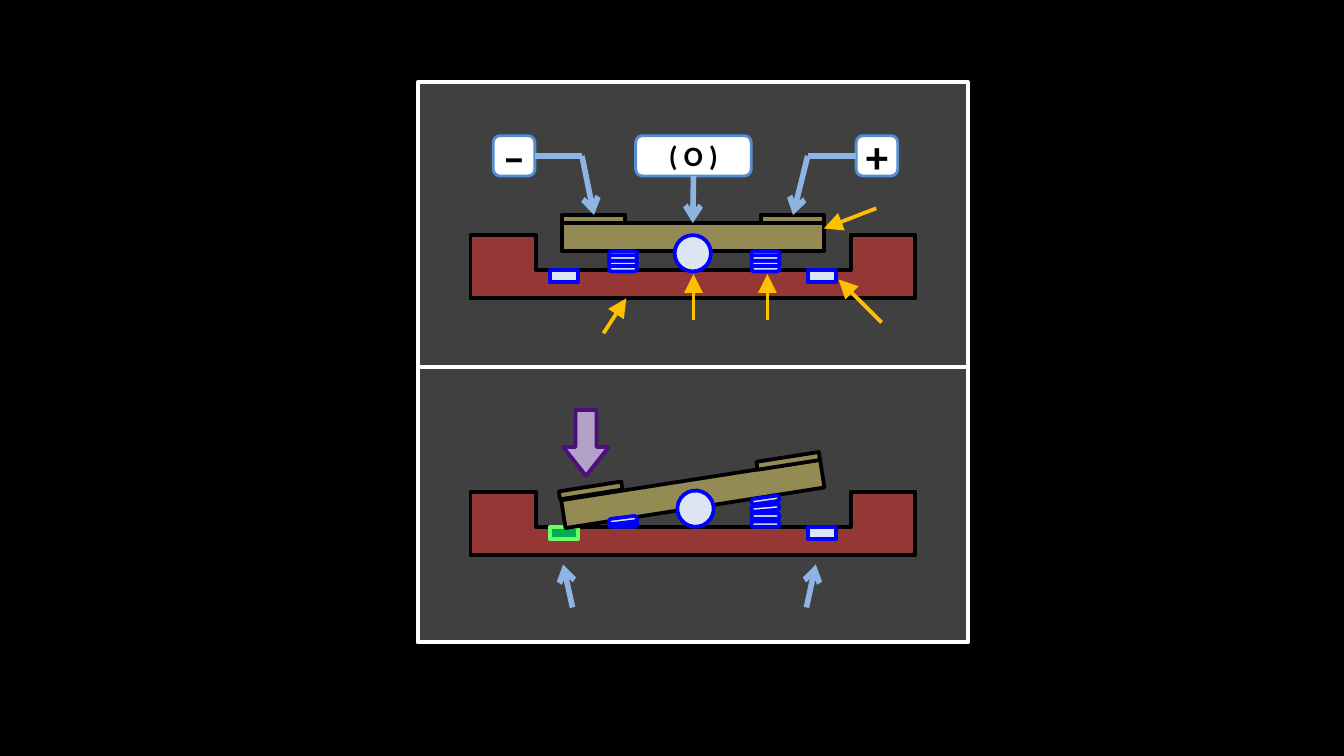
from dataclasses import dataclass
from typing import Optional

from lxml import etree
from pptx import Presentation
from pptx.dml.color import RGBColor
from pptx.enum.shapes import MSO_CONNECTOR, MSO_SHAPE
from pptx.enum.text import MSO_ANCHOR, PP_ALIGN
from pptx.oxml.ns import qn
from pptx.util import Pt

PX = 9144
SLIDE_WIDTH = 1000 * PX
SLIDE_HEIGHT = SLIDE_WIDTH * 9 // 16
RECT = MSO_SHAPE.RECTANGLE
ROUND = MSO_SHAPE.ROUNDED_RECTANGLE
OVAL = MSO_SHAPE.OVAL
DOWN_ARROW = MSO_SHAPE.DOWN_ARROW
STRAIGHT = MSO_CONNECTOR.STRAIGHT
MIDDLE = MSO_ANCHOR.MIDDLE
CENTER = PP_ALIGN.CENTER
TOP, LEFT, BOTTOM, RIGHT = range(4)

BLACK, WHITE, GRAPHITE = "000000", "FFFFFF", "404040"
BRICK, OLIVE, PALE, BLUE, NAVY = "953735", "948A54", "DCE6F2", "0000FF", "376092"
SKY, AMBER, LABEL_EDGE = "8EB4E3", "FFC000", "558ED5"
OPEN_HEAD = {"type": "arrow"}
SOLID_HEAD = {"type": "triangle", "w": "lg", "len": "lg"}
TILT = 351.1
LOWER = 191


@dataclass(frozen=True)
class Part:
    left: int
    top: int
    width: int
    height: int
    fill: Optional[str]
    edge: str
    kind: int = RECT
    rotation: float = 0
    adjustments: tuple = ()
    weight: float = 2


@dataclass(frozen=True)
class Coil:
    top: int
    rotation: float = 0
    fill: str = PALE


@dataclass(frozen=True)
class Label:
    text: str
    left: int
    width: int
    size: int
    inset_x: int = 0
    inset_y: int = 0


@dataclass(frozen=True)
class Pointer:
    start: tuple
    end: tuple
    color: str
    weight: int
    head: Optional[dict] = None
    start_joint: Optional[tuple] = None
    end_joint: Optional[tuple] = None


def rgb(color: str) -> RGBColor:
    return RGBColor.from_string(color)


def apply(target, values: dict) -> None:
    for name, value in values.items():
        setattr(target, name, value)


def paint(shape, fill: Optional[str], edge: str, weight: float) -> None:
    shape.shadow.inherit = False
    if fill:
        shape.fill.solid()
        shape.fill.fore_color.rgb = rgb(fill)
    else:
        shape.fill.background()
    shape.line.color.rgb = rgb(edge)
    shape.line.width = Pt(weight)


def draw_part(shapes, part: Part):
    box = (part.left, part.top, part.width, part.height)
    shape = shapes.add_shape(part.kind, *(n * PX for n in box))
    shape.rotation = part.rotation
    for index, value in enumerate(part.adjustments):
        shape.adjustments[index] = value
    paint(shape, part.fill, part.edge, part.weight)
    return shape


def draw_group(shapes, parts: list) -> list:
    group = shapes.add_group_shape()
    return [draw_part(group.shapes, part) for part in parts]


def draw_housing(shapes, top: int) -> None:
    floor, base = top + 26, top + 47
    outline = shapes.build_freeform(350, base, scale=PX)
    outline.add_line_segments(
        [(350, top), (399, top), (399, floor), (633, floor),
         (633, top), (681, top), (681, base)], close=True)
    paint(outline.convert_to_shape(), BRICK, BLACK, 2)


def draw_spring(shapes, left: int, coils: list) -> None:
    draw_group(shapes, [Part(left, coil.top, 21, 4, coil.fill, BLUE, ROUND,
                             coil.rotation, (0.5,)) for coil in coils])


def draw_label(shapes, label: Label):
    shape = draw_part(shapes, Part(label.left, 101, label.width, 30, WHITE,
                                   LABEL_EDGE, ROUND, weight=1.5))
    frame = shape.text_frame
    apply(frame, {"word_wrap": True, "vertical_anchor": MIDDLE,
                  "margin_left": label.inset_x * PX, "margin_right": label.inset_x * PX,
                  "margin_top": label.inset_y * PX, "margin_bottom": label.inset_y * PX})
    paragraph = frame.paragraphs[0]
    paragraph.alignment = CENTER
    run = paragraph.add_run()
    run.text = label.text
    apply(run.font, {"name": "Calibri", "size": Pt(label.size), "bold": True})
    run.font.color.rgb = rgb(BLACK)
    return shape


def draw_pointer(shapes, pointer: Pointer) -> None:
    ends = (n * PX for n in pointer.start + pointer.end)
    connector = shapes.add_connector(STRAIGHT, *ends)
    connector.line.color.rgb = rgb(pointer.color)
    connector.line.width = Pt(pointer.weight)
    if pointer.start_joint:
        connector.begin_connect(*pointer.start_joint)
    if pointer.end_joint:
        connector.end_connect(*pointer.end_joint)
    properties = connector._element.spPr
    if pointer.head:
        etree.SubElement(properties.find(qn("a:ln")), qn("a:tailEnd"), pointer.head)
    etree.SubElement(properties, qn("a:effectLst"))


def main() -> None:
    deck = Presentation()
    apply(deck, {"slide_width": SLIDE_WIDTH, "slide_height": SLIDE_HEIGHT})
    slide = deck.slides.add_slide(deck.slide_layouts[6])
    slide.background.fill.solid()
    slide.background.fill.fore_color.rgb = rgb(BLACK)
    shapes = slide.shapes

    draw_part(shapes, Part(311, 61, 409, 417, GRAPHITE, WHITE))
    draw_part(shapes, Part(311, 273, 409, 205, None, WHITE))

    for offset, left_fill, left_edge in ((0, PALE, BLUE), (LOWER, "00B050", "66FF66")):
        draw_housing(shapes, 175 + offset)
        draw_part(shapes, Part(409, 201 + offset, 21, 9, left_fill, left_edge))
        draw_part(shapes, Part(601, 201 + offset, 21, 9, PALE, BLUE))

    level_rocker = draw_group(shapes, [
        Part(418, 166, 195, 21, OLIVE, BLACK),
        Part(502, 175, 27, 27, PALE, BLUE, OVAL),
        Part(418, 160, 47, 6, OLIVE, BLACK),
        Part(566, 160, 47, 6, OLIVE, BLACK)])[0]
    for left in (453, 559):
        draw_spring(shapes, left, [Coil(top) for top in (198, 187, 194, 190)])

    draw_group(shapes, [
        Part(418, 357, 195, 21, OLIVE, BLACK, RECT, TILT),
        Part(504, 365, 27, 27, PALE, BLUE, OVAL, TILT),
        Part(416, 362, 47, 6, OLIVE, BLACK, RECT, TILT),
        Part(563, 340, 47, 6, OLIVE, BLACK, RECT, TILT)])
    draw_spring(shapes, 453, [Coil(388), Coil(387, 356.2), Coil(385, 353)])
    draw_spring(shapes, 559, [
        Coil(373, 339.3, NAVY), Coil(384, 351.8, NAVY), Coil(378, 339.3, NAVY),
        Coil(388), Coil(370, 351.8), Coil(382), Coil(376, 355.1)])
    draw_part(shapes, Part(419, 305, 34, 49, "B3A2C7", "4D0E7C", DOWN_ARROW,
                           adjustments=(0.46, 0.63)))

    plus, minus, neutral = (draw_label(shapes, label) for label in (
        Label("+", 637, 31, 24), Label("–", 367, 31, 24),
        Label("( O )", 473, 86, 15, 7, 4)))

    for pointer in (
        Pointer((426, 452), (419, 420), SKY, 3, OPEN_HEAD),
        Pointer((600, 452), (607, 420), SKY, 3, OPEN_HEAD),
        Pointer((601, 116), (590, 160), SKY, 3, OPEN_HEAD),
        Pointer((601, 116), (637, 116), SKY, 3, end_joint=(plus, LEFT)),
        Pointer((398, 116), (433, 116), SKY, 3, start_joint=(minus, RIGHT)),
        Pointer((433, 116), (442, 160), SKY, 3, OPEN_HEAD),
        Pointer((516, 131), (516, 166), SKY, 3, OPEN_HEAD,
                (neutral, BOTTOM), (level_rocker, TOP)),
        Pointer((656, 240), (624, 208), AMBER, 2, SOLID_HEAD),
        Pointer((571, 238), (571, 204), AMBER, 2, SOLID_HEAD),
        Pointer((652, 155), (613, 170), AMBER, 2, SOLID_HEAD),
        Pointer((516, 238), (516, 204), AMBER, 2, SOLID_HEAD),
        Pointer((449, 248), (466, 222), AMBER, 2, SOLID_HEAD),
    ):
        draw_pointer(shapes, pointer)

    deck.save("out.pptx")


if __name__ == "__main__":
    main()
